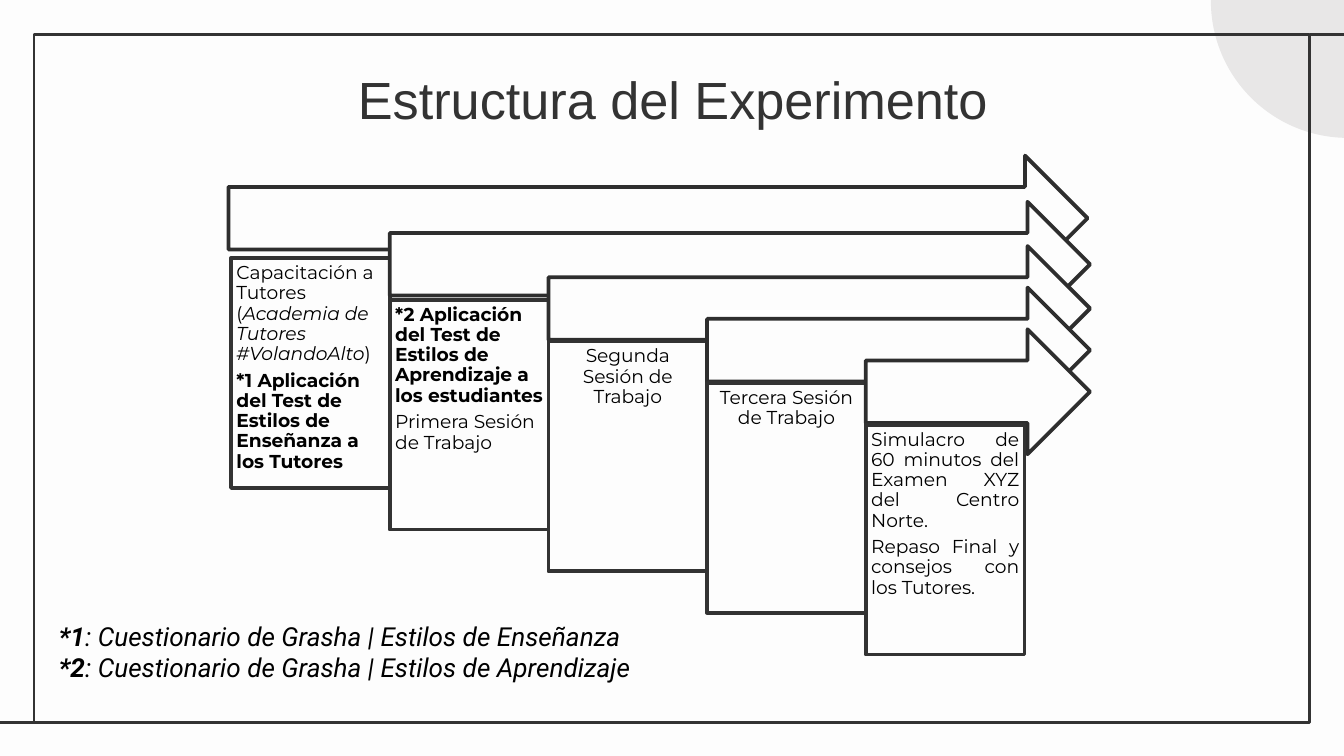
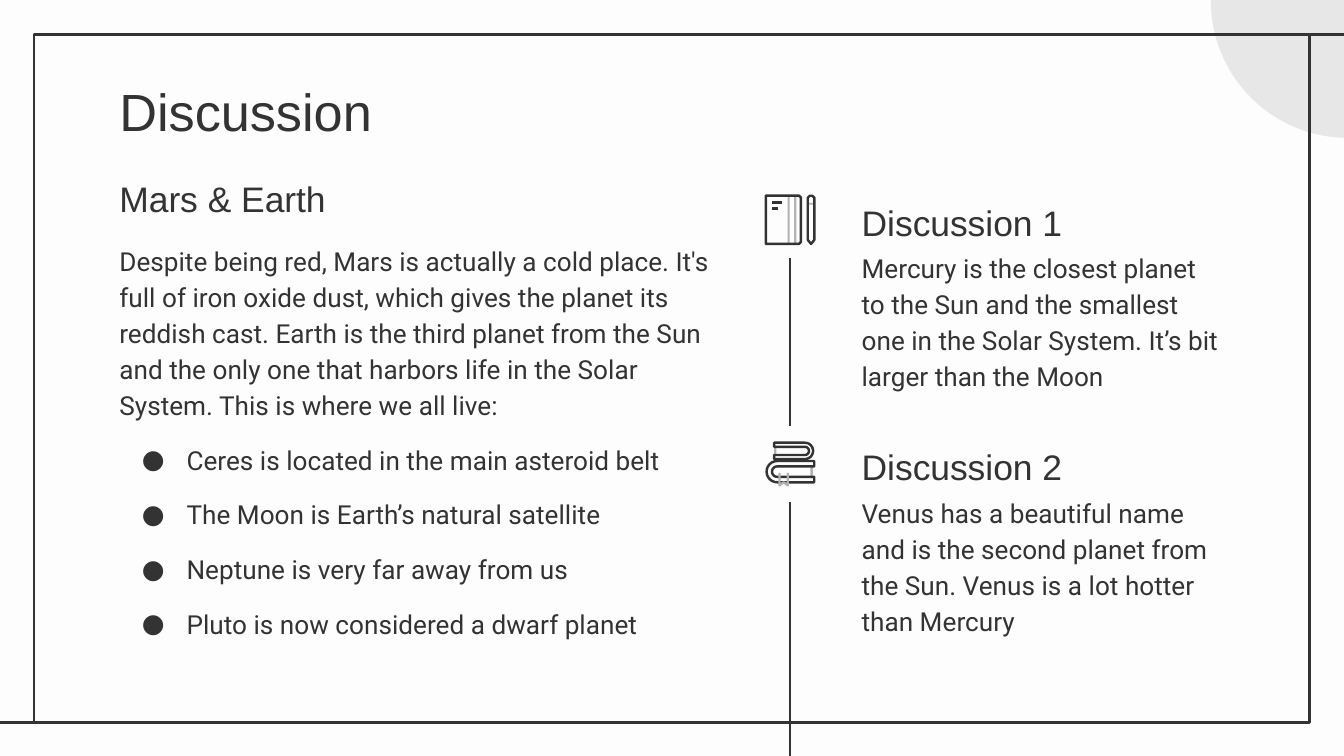
from dataclasses import dataclass
from math import cos, radians, sin

from lxml import etree
from pptx import Presentation
from pptx.dml.color import RGBColor
from pptx.enum.shapes import MSO_CONNECTOR, MSO_SHAPE
from pptx.enum.text import MSO_ANCHOR, PP_ALIGN
from pptx.oxml.ns import qn
from pptx.util import Pt

STRAIGHT = MSO_CONNECTOR.STRAIGHT
ELLIPSE, RECTANGLE, ARROW = MSO_SHAPE.OVAL, MSO_SHAPE.RECTANGLE, MSO_SHAPE.RIGHT_ARROW
TOP, BOTTOM = MSO_ANCHOR.TOP, MSO_ANCHOR.BOTTOM
LEFT, CENTER, JUSTIFY = PP_ALIGN.LEFT, PP_ALIGN.CENTER, PP_ALIGN.JUSTIFY


@dataclass(frozen=True)
class Theme:
    paper: str = "FDFDFD"
    ink: str = "333333"
    arrow_line: str = "2E2E2E"
    black: str = "000000"
    disc: str = "E8E7E7"
    accent: str = "B2B2B2"
    heading_font: str = "Arial"
    body_font: str = "Roboto"
    step_font: str = "Montserrat"
    title_size: float = 28
    heading_size: float = 19
    body_size: float = 14
    step_size: float = 10
    thin: float = 1.3
    rule: float = 1.5
    thick: float = 2


class Deck:
    def __init__(self, theme):
        self.theme = theme
        self.presentation = Presentation()
        self.presentation.slide_width = Pt(720)
        self.presentation.slide_height = Pt(405)
        self.slide = None

    def new_slide(self, title, title_top, align=LEFT):
        theme = self.theme
        self.slide = self.presentation.slides.add_slide(self.presentation.slide_layouts[6])
        background = self.slide.background.fill
        background.solid()
        background.fore_color.rgb = RGBColor.from_string(theme.paper)
        self.shape(ELLIPSE, 648.7, -73, 146.9, 146.9, fill=theme.disc)
        self.shape(RECTANGLE, 18.2, 18.3, 683.3, 368.7, line=theme.ink, width=theme.rule)
        self.line(18.7, 387, 0, 387)
        self.line(720, 18.3, 702, 18.3)
        self.text(56.9, title_top, 607, 45.4, [title], theme.heading_font,
                  theme.title_size, align=align)

    def paint(self, shape, fill=None, line=None, width=None):
        if fill:
            shape.fill.solid()
            shape.fill.fore_color.rgb = RGBColor.from_string(fill)
        else:
            shape.fill.background()
        if line:
            shape.line.color.rgb = RGBColor.from_string(line)
            shape.line.width = Pt(width)
        else:
            shape.line.fill.background()

    def shape(self, kind, left, top, width_box, height, fill=None, line=None, width=None):
        shape = self.slide.shapes.add_shape(kind, Pt(left), Pt(top), Pt(width_box), Pt(height))
        shape.shadow.inherit = False
        self.paint(shape, fill, line, width)

    def line(self, x1, y1, x2, y2, width=None):
        connector = self.slide.shapes.add_connector(STRAIGHT, Pt(x1), Pt(y1), Pt(x2), Pt(y2))
        connector.line.color.rgb = RGBColor.from_string(self.theme.ink)
        connector.line.width = Pt(width or self.theme.rule)
        etree.SubElement(connector._element.spPr, qn("a:effectLst"))

    def outline(self, points, color, close=True):
        corners = [(Pt(x), Pt(y)) for x, y in points]
        builder = self.slide.shapes.build_freeform(*corners[0])
        builder.add_line_segments(corners[1:], close=close)
        shape = builder.convert_to_shape()
        shape.shadow.inherit = False
        self.paint(shape, line=color, width=self.theme.thin)

    def text(self, left, top, width, height, paragraphs, font, size, color=None,
             align=LEFT, anchor=TOP, spacing=1, after=0, inset=7.2, bullets=()):
        box = self.slide.shapes.add_textbox(Pt(left), Pt(top), Pt(width), Pt(height))
        frame = box.text_frame
        frame.word_wrap = True
        frame.vertical_anchor = anchor
        frame.margin_left = frame.margin_right = Pt(inset)
        frame.margin_top = frame.margin_bottom = Pt(inset)
        color = color or self.theme.ink
        for index, content in enumerate([*paragraphs, *bullets]):
            paragraph = frame.paragraphs[0] if index == 0 else frame.add_paragraph()
            paragraph.alignment = align
            paragraph.line_spacing = spacing
            paragraph.space_after = Pt(after)
            if index >= len(paragraphs):
                self.bullet(paragraph, font, color)
            runs = [(content, "")] if isinstance(content, str) else content
            for words, style in runs:
                run = paragraph.add_run()
                run.text = words
                if len(runs) > 1:
                    self.emphasise(run.font, style)
            if len(runs) == 1:
                self.emphasise(paragraph.font, runs[0][1])
            paragraph.font.name = font
            paragraph.font.size = Pt(size)
            paragraph.font.color.rgb = RGBColor.from_string(color)
        return box

    def emphasise(self, font, style):
        font.bold = "b" in style
        font.italic = "i" in style

    def bullet(self, paragraph, font, color):
        paragraph.space_before = Pt(10)
        properties = paragraph._p.get_or_add_pPr()
        properties.set("marL", str(Pt(36)))
        properties.set("indent", str(Pt(-24)))
        bullet_color = etree.SubElement(properties, qn("a:buClr"))
        etree.SubElement(bullet_color, qn("a:srgbClr"), val=color)
        etree.SubElement(properties, qn("a:buFont"), typeface=font)
        etree.SubElement(properties, qn("a:buChar"), char="●")

    def step(self, left, top, paragraphs, align):
        theme = self.theme
        box = self.text(left, top, 85, 123.1, paragraphs, theme.step_font, theme.step_size,
                        theme.black, align, spacing=0.9, after=3.5, inset=2.88)
        self.paint(box, theme.paper, theme.ink, theme.thick)

    def book(self, open_x, curve_x, middle, outer, inner):
        side = 1 if curve_x > open_x else -1

        def curve(radius, angles):
            return [(curve_x + side * radius * cos(radians(angle)),
                     middle + radius * sin(radians(angle))) for angle in angles]

        self.outline([(open_x, middle - outer), *curve(outer, range(-90, 91, 15)),
                      (open_x, middle + outer), (open_x, middle + inner),
                      *curve(inner, range(90, -91, -15)), (open_x, middle - inner)],
                     self.theme.ink)

    def books_icon(self):
        accent = self.theme.accent
        self.shape(RECTANGLE, 434.2, 249.8, 1.3, 5.4, fill=accent)
        self.shape(RECTANGLE, 414.7, 239.8, 1.3, 4.3, fill=accent)
        self.book(414.7, 431.2, 241.6, 4.4, 2.2)
        self.book(436.2, 416.4, 252.7, 5.7, 2.8)
        self.outline([(417.6, 253.4), (417.6, 260), (419.8, 258.4), (422, 260),
                      (422, 253.4)], accent, close=False)

    def notebook_icon(self):
        theme = self.theme
        for left in (421.9, 425.5):
            self.shape(RECTANGLE, left, 105.1, 1.2, 25.9, fill=theme.accent)
        self.shape(RECTANGLE, 432.7, 108.7, 3.6, 1, fill=theme.accent)
        self.outline([(410.3, 104.8), (428, 104.8), (429.1, 105.9), (429.1, 129.6),
                      (428, 130.7), (410.3, 130.7)], theme.ink)
        self.outline([(432.7, 106), (433.8, 104.9), (435.2, 104.9), (436.3, 106),
                      (436.3, 128.5), (434.5, 130.7), (432.7, 128.5)], theme.ink)
        for right, y in ((418.7, 108.4), (416.6, 111.6)):
            self.line(413.6, y, right, y, theme.thin)


def build_experiment(deck):
    theme = deck.theme
    deck.new_slide("Estructura del Experimento", 28.8, CENTER)
    steps = [
        (54.9, -1.4, LEFT, [
            [("Capacitación a Tutores (", ""), ("Academia de Tutores #VolandoAlto", "i"),
             (")", "")],
            [("*1 Aplicación del Test de Estilos de Enseñanza a los Tutores", "b")]]),
        (52.5, 0, LEFT, [
            [("*2 Aplicación del Test de Estilos de Aprendizaje a los estudiantes", "b")],
            "Primera Sesión de Trabajo"]),
        (51.1, 0, CENTER, ["Segunda Sesión de Trabajo"]),
        (51.1, 0, CENTER, ["Tercera Sesión de Trabajo"]),
        (51.1, 0, JUSTIFY, ["Simulacro de 60 minutos del Examen XYZ del Centro Norte.",
                            "Repaso Final y consejos con los Tutores."]),
    ]
    for index, (lift, shift, align, paragraphs) in enumerate(steps):
        left, top = 123.8 + 85 * index, 138.3 + 22.3 * index
        deck.shape(ARROW, left + shift, top - lift, 584 - left, 67,
                   theme.paper, theme.arrow_line, theme.thick)
        deck.step(left, top, paragraphs, align)
    notes = [("*1", "Enseñanza"), ("*2", "Aprendizaje")]
    deck.text(24.5, 325.2, 336, 48,
              [[(mark, "bi"), (f": Cuestionario de Grasha | Estilos de {subject}", "i")]
               for mark, subject in notes],
              theme.body_font, theme.body_size, theme.black)


def build_discussion(deck):
    theme = deck.theme
    deck.new_slide("Discussion", 35.3)

    def heading(left, top, width, height, words):
        deck.text(left, top, width, height, [words], theme.heading_font,
                  theme.heading_size, anchor=BOTTOM, spacing=1.15)

    def body(left, top, width, height, words, bullets=()):
        deck.text(left, top, width, height, [words], theme.body_font,
                  theme.body_size, spacing=1.15, bullets=bullets)

    body(56.9, 121.7, 335.5, 241.2,
         "Despite being red, Mars is actually a cold place. It's full of iron oxide dust, "
         "which gives the planet its reddish cast. Earth is the third planet from the Sun "
         "and the only one that harbors life in the Solar System. This is where we all live:",
         ["Ceres is located in the main asteroid belt",
          "The Moon is Earth’s natural satellite",
          "Neptune is very far away from us",
          "Pluto is now considered a dwarf planet"])
    heading(56.9, 90.4, 335.5, 34.6, "Mars & Earth")
    topics = [
        ("Discussion 1", 228.2, deck.notebook_icon,
         "Mercury is the closest planet to the Sun and the smallest one in the Solar System. "
         "It’s bit larger than the Moon"),
        ("Discussion 2", 405, deck.books_icon,
         "Venus has a beautiful name and is the second planet from the Sun. "
         "Venus is a lot hotter than Mercury"),
    ]
    for index, (name, line_end, draw_icon, words) in enumerate(topics):
        drop = 130.8 * index
        heading(454.5, 110.2 + drop, 208.5, 27.4, name)
        body(454.5, 125.7 + drop, 208.5, 92.9, words)
        deck.shape(RECTANGLE, 403.2, 97.5 + drop, 40.3, 40.3, fill=theme.paper)
        deck.line(423.2, 138 + drop, 423.2, line_end)
        draw_icon()


def main():
    deck = Deck(Theme())
    build_experiment(deck)
    build_discussion(deck)
    deck.presentation.save("out.pptx")


if __name__ == "__main__":
    main()
